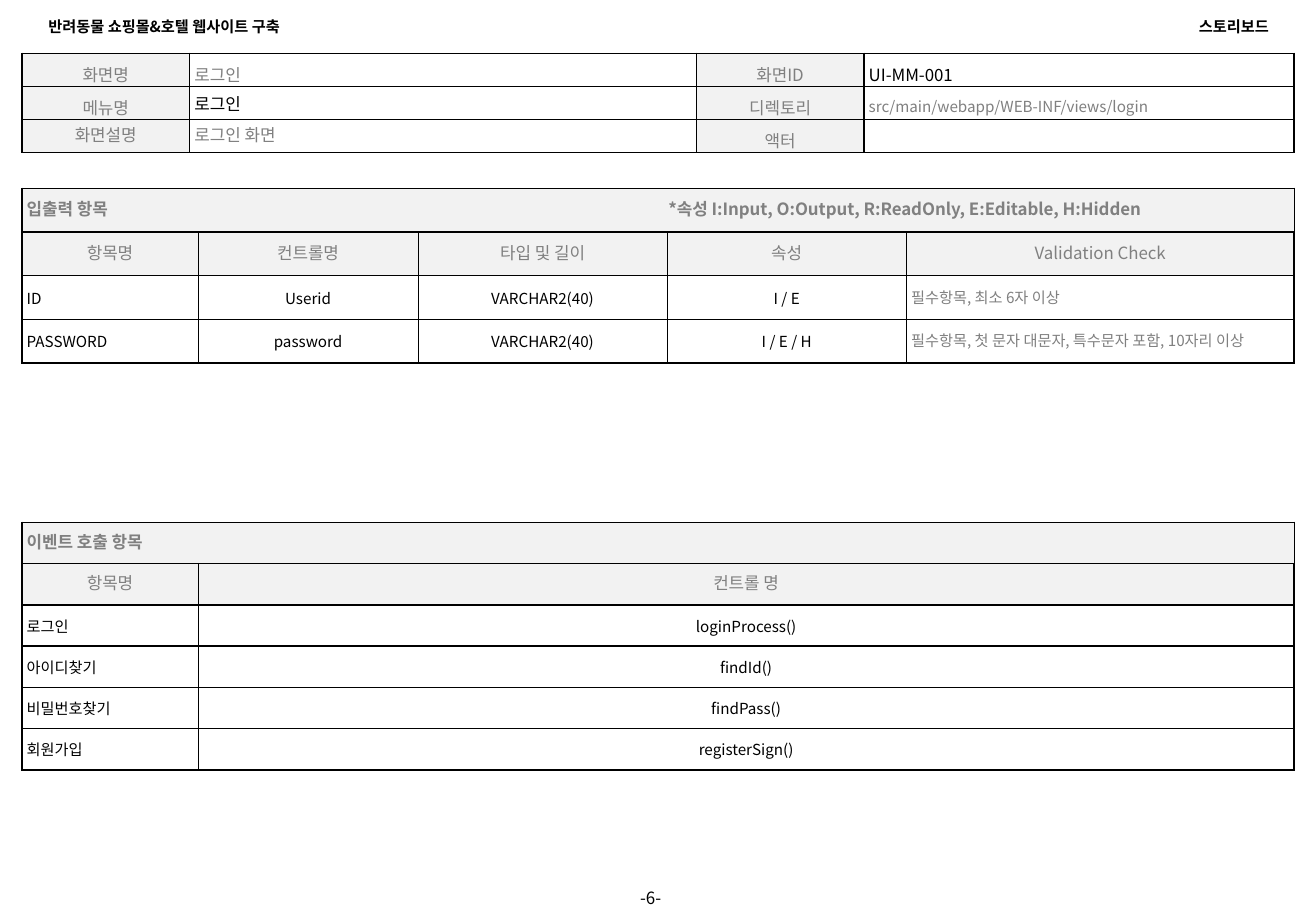
"""Builds the login storyboard slide with its three tables."""
from lxml import etree
from pptx import Presentation
from pptx.dml.color import RGBColor
from pptx.enum.text import MSO_ANCHOR, PP_ALIGN
from pptx.oxml.ns import qn
from pptx.util import Inches, Pt

LEFT, MID, RIGHT = PP_ALIGN.LEFT, PP_ALIGN.CENTER, PP_ALIGN.RIGHT
CENTER = MSO_ANCHOR.MIDDLE
FONT = "Noto Sans CJK KR"
HUES = {"ink": "000000", "gray": "808080", "pale": "F2F2F2", "white": "FFFFFF"}
PAD = 0.04


def write(frame, text, size=9, hue="ink", bold=False, align=LEFT, line=None, gap=None, tab=None):
    para = frame.paragraphs[0]
    para.alignment = align
    if line:
        para.line_spacing = line
    if gap:
        para.space_before = para.space_after = Pt(gap)
    if tab:
        stops = etree.SubElement(para._p.get_or_add_pPr(), qn("a:tabLst"))
        etree.SubElement(stops, qn("a:tab"), pos=str(Inches(tab)), algn="l")
    if not text:
        etree.SubElement(para._p, qn("a:endParaRPr"), sz=str(size * 100))
        return
    run = para.add_run()
    run.text = text
    font = run.font
    font.name, font.size, font.bold = FONT, Pt(size), bold
    font.color.rgb = RGBColor.from_string(HUES[hue])
    etree.SubElement(font._element, qn("a:ea"), typeface=FONT)


def pad(item, side=PAD):
    item.margin_left = item.margin_right = Inches(side)
    item.margin_top = item.margin_bottom = Inches(PAD)
    item.vertical_anchor = CENTER


class Board:
    """Holds the slide and the style of its texts and tables."""

    def __init__(self, deck):
        self.slide = deck.slides.add_slide(deck.slide_layouts[6])

    def text(self, box, text, side=PAD, **look):
        frame = self.slide.shapes.add_textbox(*map(Inches, box)).text_frame
        frame.word_wrap = True
        pad(frame, side)
        write(frame, text, **look)

    def edge(self, cell, widths):
        props = cell._tc.get_or_add_tcPr()
        for spot, (side, width) in enumerate(zip("LRTB", widths)):
            line = etree.Element(qn("a:ln" + side), w=str(Pt(width)))
            fill = etree.SubElement(line, qn("a:solidFill"))
            etree.SubElement(fill, qn("a:srgbClr"), val=HUES["ink"])
            props.insert(spot, line)

    def table(self, top, cols, high, rows, inner=0.5):
        box = Inches(0.18), Inches(top), Inches(sum(cols)), Inches(high * len(rows))
        grid = self.slide.shapes.add_table(len(rows), len(cols), *box).table
        grid.first_row = grid.horz_banding = False
        for col, wide in zip(grid.columns, cols):
            col.width = Inches(wide)
        last = len(cols) - 1
        for r, row in enumerate(rows):
            grid.rows[r].height = Inches(high)
            if len(row) == 1:
                grid.cell(r, 0).merge(grid.cell(r, last))
            for c in range(len(cols)):
                cell = grid.cell(r, c)
                pad(cell)
                text, look = row[c] if c < len(row) else ("", HEAD)
                look = dict(look)
                cell.fill.solid()
                cell.fill.fore_color.rgb = RGBColor.from_string(HUES[look.pop("fill", "white")])
                write(cell.text_frame, text, **look)
                self.edge(cell, (inner if c else 1, inner if c < last else 1, 1, 1))


HEAD = dict(fill="pale", size=10, hue="gray", align=MID, line=Pt(12))
BAND = {**HEAD, "bold": True, "align": LEFT}
BODY = dict(align=MID)
NOTE = dict(hue="gray", line=Pt(12))
INFO = dict(size=10, hue="gray", line=1.15, gap=3)
LABEL = {**INFO, "fill": "pale", "align": MID}


def heads(*names):
    return [(name, HEAD) for name in names]


def body(name, *vals):
    return [(name, {})] + [(val, BODY) for val in vals]


deck = Presentation()
deck.slide_width, deck.slide_height = Inches(10.83), Inches(7.5)
board = Board(deck)

board.text((4.96, 7.31, 0.79, 0.16), "-6-", size=10, align=MID)
board.text((0.3, 0.09, 2.99, 0.25), "반려동물 쇼핑몰&호텔 웹사이트 구축", side=0.1, bold=True)
board.text((7.55, 0.09, 2.99, 0.25), "스토리보드", side=0.1, bold=True, align=RIGHT)

board.table(1.55, (1.45, 1.81, 2.05, 1.97, 3.19), 0.36, [
    [("입출력 항목\t*속성 I:Input, O:Output, R:ReadOnly, E:Editable, H:Hidden",
      {**BAND, "tab": 5.28})],
    heads("항목명", "컨트롤명", "타입 및 길이", "속성", "Validation Check"),
    body("ID", "Userid", "VARCHAR2(40)", "I / E") + [("필수항목, 최소 6자 이상", NOTE)],
    body("PASSWORD", "password", "VARCHAR2(40)", "I / E / H")
    + [("필수항목, 첫 문자 대문자, 특수문자 포함, 10자리 이상", NOTE)],
])

calls = {"로그인": "loginProcess()", "아이디찾기": "findId()",
         "비밀번호찾기": "findPass()", "회원가입": "registerSign()"}
board.table(4.3, (1.45, 9.02), 0.34, [
    [("이벤트 호출 항목", BAND)],
    heads("항목명", "컨트롤 명"),
    *[body(*call) for call in calls.items()],
])

board.table(0.44, (1.38, 4.17, 1.38, 3.54), 0.27, [
    [("화면명", LABEL), ("로그인", INFO), ("화면ID", LABEL), ("UI-MM-001", {**INFO, "hue": "ink"})],
    [("메뉴명", LABEL), ("로그인", dict(size=10)), ("디렉토리", LABEL),
     ("src/main/webapp/WEB-INF/views/login", {**INFO, "size": 9})],
    [("화면설명", HEAD), ("로그인 화면", {**NOTE, "size": 10}), ("액터", LABEL), ("", INFO)],
], inner=1)

deck.save("out.pptx")
